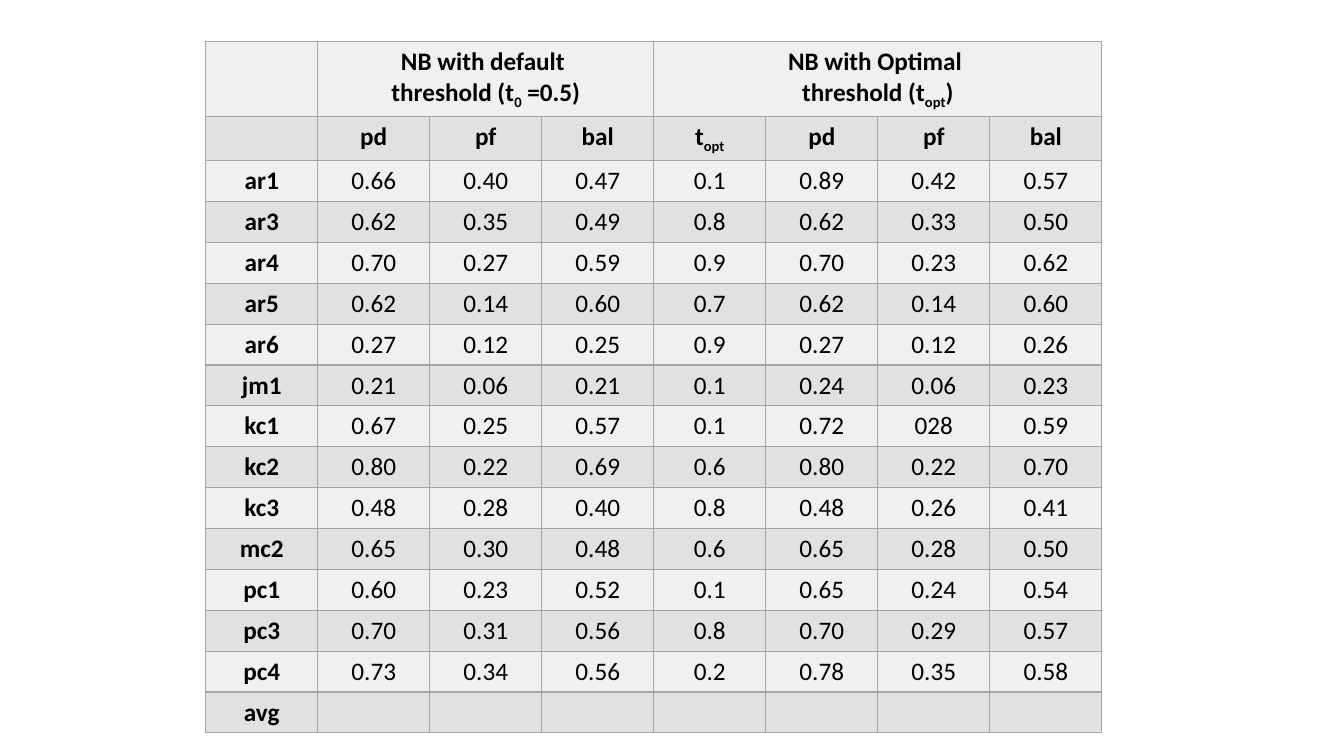
from dataclasses import dataclass

from lxml.etree import SubElement
from pptx import Presentation
from pptx.dml.color import RGBColor
from pptx.enum.text import PP_ALIGN
from pptx.oxml.ns import qn
from pptx.table import Table, _Cell
from pptx.util import Inches, Pt

FONT = "Calibri"
TEXT_SIZE = Pt(18)
BLACK = RGBColor(0x00, 0x00, 0x00)
BORDER_GRAY = RGBColor(0xA5, 0xA5, 0xA5)
BAND_COLORS = (RGBColor(0xF0, 0xF0, 0xF0), RGBColor(0xE1, 0xE1, 0xE1))
COLUMN_COUNT = 8


@dataclass(frozen=True)
class Piece:
    text: str
    subscript: bool = False


@dataclass(frozen=True)
class GroupHeader:
    first_column: int
    last_column: int
    lines: list[list[Piece]]


@dataclass(frozen=True)
class DatasetRow:
    name: str
    values: str = ""


GROUP_HEADERS = [
    GroupHeader(1, 3, [
        [Piece("NB with default ")],
        [Piece("threshold (t"), Piece("0", True), Piece(" =0.5)")],
    ]),
    GroupHeader(4, 7, [
        [Piece("NB with Optimal ")],
        [Piece("threshold (t"), Piece("opt", True), Piece(")")],
    ]),
]

MEASURES = [[Piece("pd")], [Piece("pf")], [Piece("bal")]]
COLUMN_HEADERS = [*MEASURES, [Piece("t"), Piece("opt", True)], *MEASURES]

DATASETS = [
    DatasetRow("ar1", "0.66 0.40 0.47 0.1 0.89 0.42 0.57"),
    DatasetRow("ar3", "0.62 0.35 0.49 0.8 0.62 0.33 0.50"),
    DatasetRow("ar4", "0.70 0.27 0.59 0.9 0.70 0.23 0.62"),
    DatasetRow("ar5", "0.62 0.14 0.60 0.7 0.62 0.14 0.60"),
    DatasetRow("ar6", "0.27 0.12 0.25 0.9 0.27 0.12 0.26"),
    DatasetRow("jm1", "0.21 0.06 0.21 0.1 0.24 0.06 0.23"),
    DatasetRow("kc1", "0.67 0.25 0.57 0.1 0.72 028 0.59"),
    DatasetRow("kc2", "0.80 0.22 0.69 0.6 0.80 0.22 0.70"),
    DatasetRow("kc3", "0.48 0.28 0.40 0.8 0.48 0.26 0.41"),
    DatasetRow("mc2", "0.65 0.30 0.48 0.6 0.65 0.28 0.50"),
    DatasetRow("pc1", "0.60 0.23 0.52 0.1 0.65 0.24 0.54"),
    DatasetRow("pc3", "0.70 0.31 0.56 0.8 0.70 0.29 0.57"),
    DatasetRow("pc4", "0.73 0.34 0.56 0.2 0.78 0.35 0.58"),
    DatasetRow("avg"),
]


def style_cell(cell: _Cell, fill_color: RGBColor) -> None:
    """Draw the four borders, then the fill, in the order the schema needs."""
    properties = cell._tc.get_or_add_tcPr()
    for side in ("a:lnL", "a:lnR", "a:lnT", "a:lnB"):
        line = SubElement(properties, qn(side), w=str(Pt(1)))
        line_fill = SubElement(line, qn("a:solidFill"))
        SubElement(line_fill, qn("a:srgbClr"), val=str(BORDER_GRAY))
    cell.fill.solid()
    cell.fill.fore_color.rgb = fill_color


def write_cell(cell: _Cell, lines: list[list[Piece]], bold: bool) -> None:
    text_frame = cell.text_frame
    for index, pieces in enumerate(lines):
        paragraph = text_frame.add_paragraph() if index else text_frame.paragraphs[0]
        paragraph.alignment = PP_ALIGN.CENTER
        for piece in pieces:
            run = paragraph.add_run()
            run.text = piece.text
            run.font.name = FONT
            run.font.size = TEXT_SIZE
            run.font.bold = bold
            run.font.color.rgb = BLACK
            if piece.subscript:
                run.font._element.set("baseline", "-25000")


def fill_table(table: Table) -> None:
    # Alternating bands and borders
    for row_index, row in enumerate(table.rows):
        for cell in row.cells:
            style_cell(cell, BAND_COLORS[row_index % 2])

    # Two header rows
    for group in GROUP_HEADERS:
        first_cell = table.cell(0, group.first_column)
        first_cell.merge(table.cell(0, group.last_column))
        write_cell(first_cell, group.lines, bold=True)
    for column, pieces in enumerate(COLUMN_HEADERS, start=1):
        write_cell(table.cell(1, column), [pieces], bold=True)

    # One row per dataset
    for row_index, dataset in enumerate(DATASETS, start=2):
        write_cell(table.cell(row_index, 0), [[Piece(dataset.name)]], bold=True)
        for column, value in enumerate(dataset.values.split(), start=1):
            write_cell(table.cell(row_index, column), [[Piece(value)]], bold=False)


def main() -> None:
    presentation = Presentation()
    presentation.slide_width = Inches(13.33)
    presentation.slide_height = Inches(7.5)
    slide = presentation.slides.add_slide(presentation.slide_layouts[6])

    # Results table; rows with taller text grow when drawn
    shape = slide.shapes.add_table(
        len(DATASETS) + 2, COLUMN_COUNT,
        Inches(2.04), Inches(0.41), Inches(8.89), Inches(6.49),
    )
    fill_table(shape.table)
    presentation.save("out.pptx")


if __name__ == "__main__":
    main()
